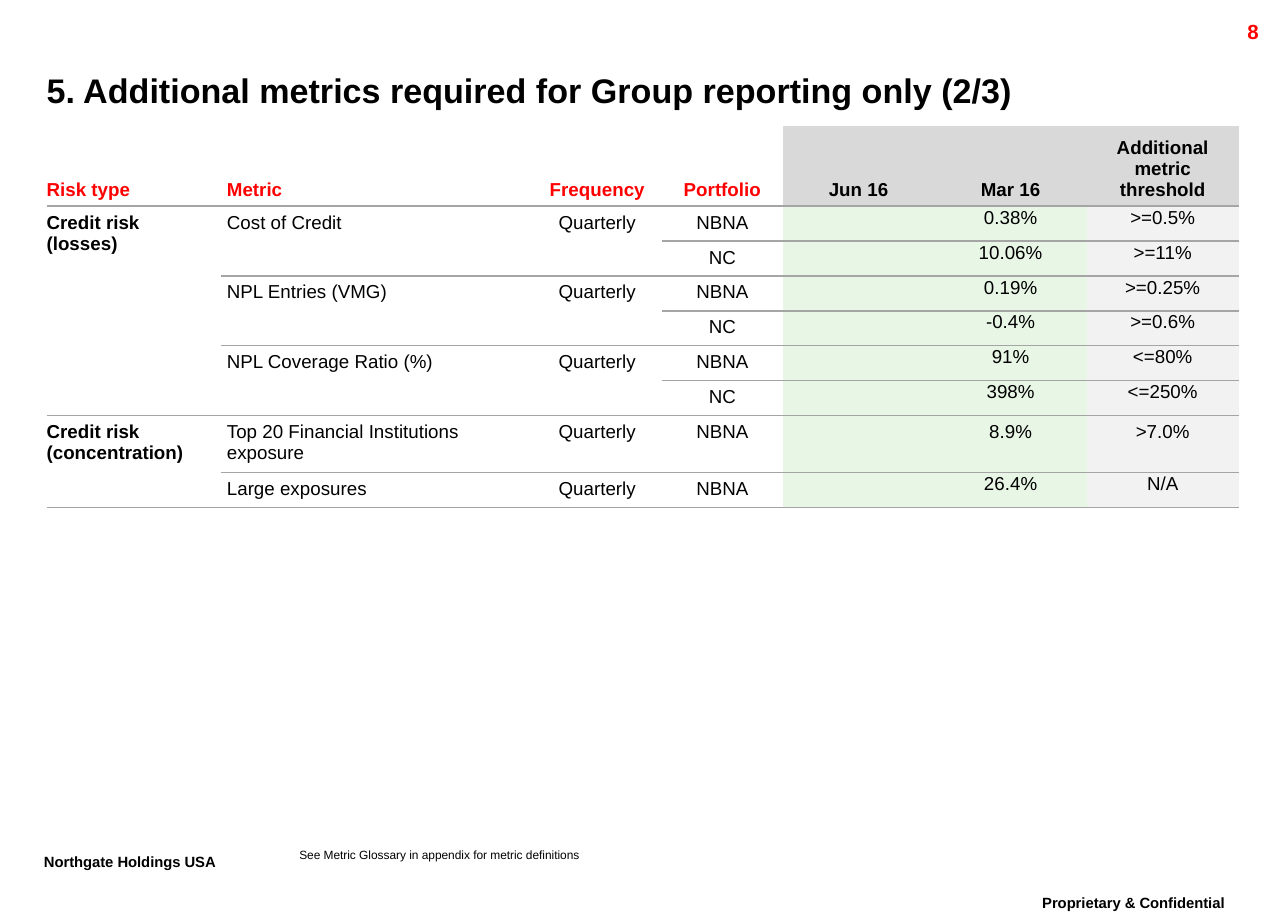
"""Build the slide on additional metrics for group reporting."""
from dataclasses import dataclass

from lxml import etree
from pptx import Presentation
from pptx import util as u
from pptx.dml.color import RGBColor
from pptx.enum import text as t
from pptx.oxml.ns import qn

EMU_PER_PX = 4572
FONT = "Arial"
TABLE_SIZE = 11
PLAIN_STYLE = "{2D5ABB26-0587-4C30-8999-92F81FD0307C}"
COLORS = {
    "black": "000000",
    "red": "FF0000",
    "rule": "A5A5A5",
    "heading": "D9D9D9",
    "result": "E8F6E6",
    "threshold": "F2F2F2",
}
LEFT, CENTER, RIGHT = t.PP_ALIGN.LEFT, t.PP_ALIGN.CENTER, t.PP_ALIGN.RIGHT
TOP, MIDDLE, BOTTOM = t.MSO_ANCHOR.TOP, t.MSO_ANCHOR.MIDDLE, t.MSO_ANCHOR.BOTTOM

COLUMN_WIDTHS = [284, 508, 212, 196, 248, 248, 248]
HEADER_HEIGHT, ROW_HEIGHT, TALL_ROW_HEIGHT = 130, 57, 93
HEADINGS = ["Risk type", "Metric", "Frequency", "Portfolio",
            "Jun 16", "Mar 16", "Additional metric threshold"]
FIRST_PERIOD = HEADINGS.index("Jun 16")
COLUMN_FILLS = [None] * FIRST_PERIOD + ["result", "result", "threshold"]


@dataclass(frozen=True)
class Label:
    """A free text with its box and format."""
    content: str
    box: tuple[int, int, int, int]
    size: float
    color: str = "black"
    bold: bool = True
    align: t.PP_ALIGN = LEFT
    anchor: t.MSO_ANCHOR = TOP
    insets: tuple[int, int, int, int] = (20, 10, 20, 10)
    wrap: bool = True
    spacing: float | None = None
    baseline: int = 0


@dataclass(frozen=True)
class Reading:
    """The result and threshold of one portfolio."""
    portfolio: str
    mar: str
    threshold: str
    tall: bool = False


@dataclass(frozen=True)
class Metric:
    """A metric with its readings."""
    name: str
    readings: list[Reading]
    frequency: str = "Quarterly"


@dataclass(frozen=True)
class Risk:
    """A risk type with its metrics."""
    name: str
    metrics: list[Metric]


LABELS = [
    Label("Proprietary & Confidential", (1630, 1450, 436, 70), 15,
          align=CENTER, spacing=0.86, baseline=30000),
    Label("Northgate Holdings USA", (52, 1382, 382, 70), 15,
          wrap=False, spacing=0.86, baseline=30000),
    Label("8", (1872, 22, 200, 48), 12, color="red", align=RIGHT),
    Label("5. Additional metrics required for Group reporting only (2/3)",
          (76, 98, 1896, 96), 20, anchor=MIDDLE, insets=(0, 0, 0, 0)),
    Label("See Metric Glossary in appendix for metric definitions",
          (488, 1386, 1094, 20), 7, bold=False, insets=(0, 0, 0, 0), spacing=0.86),
]

RISKS = [
    Risk("Credit risk (losses)", [
        Metric("Cost of Credit", [Reading("NBNA", "0.38%", ">=0.5%"),
                                  Reading("NC", "10.06%", ">=11%")]),
        Metric("NPL Entries (VMG)", [Reading("NBNA", "0.19%", ">=0.25%"),
                                     Reading("NC", "-0.4%", ">=0.6%")]),
        Metric("NPL Coverage Ratio (%)", [Reading("NBNA", "91%", "<=80%"),
                                          Reading("NC", "398%", "<=250%")]),
    ]),
    Risk("Credit risk (concentration)", [
        Metric("Top 20 Financial Institutions exposure",
               [Reading("NBNA", "8.9%", ">7.0%", tall=True)]),
        Metric("Large exposures", [Reading("NBNA", "26.4%", "N/A")]),
    ]),
]


def px(length: int) -> u.Emu:
    """Turn px into EMU."""
    return u.Emu(length * EMU_PER_PX)


def write_text(frame, content: str, *, size: float, color: str = "black",
               bold: bool = False, align=LEFT, spacing=None, baseline: int = 0) -> None:
    """Write one formatted paragraph into a text frame."""
    paragraph = frame.paragraphs[0]
    paragraph.alignment = align
    if spacing:
        paragraph.line_spacing = spacing
    if not content:
        etree.SubElement(paragraph._p, qn("a:endParaRPr"), sz=str(size * 100))
        return
    run = paragraph.add_run()
    run.text = content
    run.font.name = FONT
    run.font.size = u.Pt(size)
    run.font.bold = bold
    run.font.color.rgb = RGBColor.from_string(COLORS[color])
    if baseline:
        run.font._element.set("baseline", str(baseline))


def set_insets(holder, insets: tuple[int, int, int, int]) -> None:
    """Set the left, top, right and bottom insets."""
    (holder.margin_left, holder.margin_top,
     holder.margin_right, holder.margin_bottom) = map(px, insets)


def draw_label(slide, label: Label) -> None:
    """Draw a free text."""
    frame = slide.shapes.add_textbox(*map(px, label.box)).text_frame
    frame.word_wrap = label.wrap
    frame.vertical_anchor = label.anchor
    set_insets(frame, label.insets)
    write_text(frame, label.content, size=label.size, color=label.color,
               bold=label.bold, align=label.align, spacing=label.spacing,
               baseline=label.baseline)


def fill_cell(cell, content: str, *, fill: str | None = None, anchor=TOP,
              insets: tuple[int, int, int, int] = (10, 10, 10, 10), **text_format) -> None:
    """Write a table cell, fill it and rule its bottom edge."""
    set_insets(cell, insets)
    cell.vertical_anchor = anchor
    if fill:
        cell.fill.solid()
        cell.fill.fore_color.rgb = RGBColor.from_string(COLORS[fill])
    else:
        cell.fill.background()
    rule = etree.Element(qn("a:lnB"), w=str(u.Pt(1)))
    paint = etree.SubElement(rule, qn("a:solidFill"))
    etree.SubElement(paint, qn("a:srgbClr"), val=COLORS["rule"])
    cell._tc.get_or_add_tcPr().insert(0, rule)
    write_text(cell.text_frame, content, size=TABLE_SIZE, **text_format)


def draw_metrics(slide) -> None:
    """Draw the table of risks, metrics and readings."""
    readings = [reading for risk in RISKS for metric in risk.metrics
                for reading in metric.readings]
    heights = [HEADER_HEIGHT] + [TALL_ROW_HEIGHT if reading.tall else ROW_HEIGHT
                                 for reading in readings]
    frame = slide.shapes.add_table(len(heights), len(HEADINGS), px(76), px(206),
                                   px(sum(COLUMN_WIDTHS)), px(sum(heights)))
    table = frame.table
    table.first_row = table.horz_banding = False
    table._tbl.tblPr.find(qn("a:tableStyleId")).text = PLAIN_STYLE
    for column, width in zip(table.columns, COLUMN_WIDTHS):
        column.width = px(width)
    for row, height in zip(table.rows, heights):
        row.height = px(height)

    for col, heading in enumerate(HEADINGS):
        period = col >= FIRST_PERIOD
        fill_cell(table.cell(0, col), heading, anchor=BOTTOM, bold=True,
                  insets=(10 if col else 0, 10, 10, 10),
                  fill="heading" if period else None,
                  color="black" if period else "red",
                  align=LEFT if col < 2 else CENTER)

    def span(first: int, count: int, col: int, content: str, **cell_format) -> None:
        """Fill a cell that covers several rows."""
        for row in range(first, first + count):
            fill_cell(table.cell(row, col), content if row == first else "", **cell_format)
        if count > 1:
            table.cell(first, col).merge(table.cell(first + count - 1, col))

    row = 1
    for risk in RISKS:
        span(row, sum(len(metric.readings) for metric in risk.metrics), 0,
             risk.name, bold=True, insets=(0, 10, 10, 10))
        for metric in risk.metrics:
            span(row, len(metric.readings), 1, metric.name)
            span(row, len(metric.readings), 2, metric.frequency, align=CENTER)
            for reading in metric.readings:
                values = [reading.portfolio, "", reading.mar, reading.threshold]
                for col, value in enumerate(values, start=3):
                    tight = col >= FIRST_PERIOD and not reading.tall
                    fill_cell(table.cell(row, col), value, fill=COLUMN_FILLS[col],
                              align=CENTER, insets=(2, 2, 2, 0) if tight else (10,) * 4)
                row += 1


def main() -> None:
    """Build and save the slide."""
    deck = Presentation()
    deck.slide_width, deck.slide_height = px(2100), px(1500)
    slide = deck.slides.add_slide(deck.slide_layouts[6])
    draw_metrics(slide)
    for label in LABELS:
        draw_label(slide, label)
    deck.save("out.pptx")


if __name__ == "__main__":
    main()
